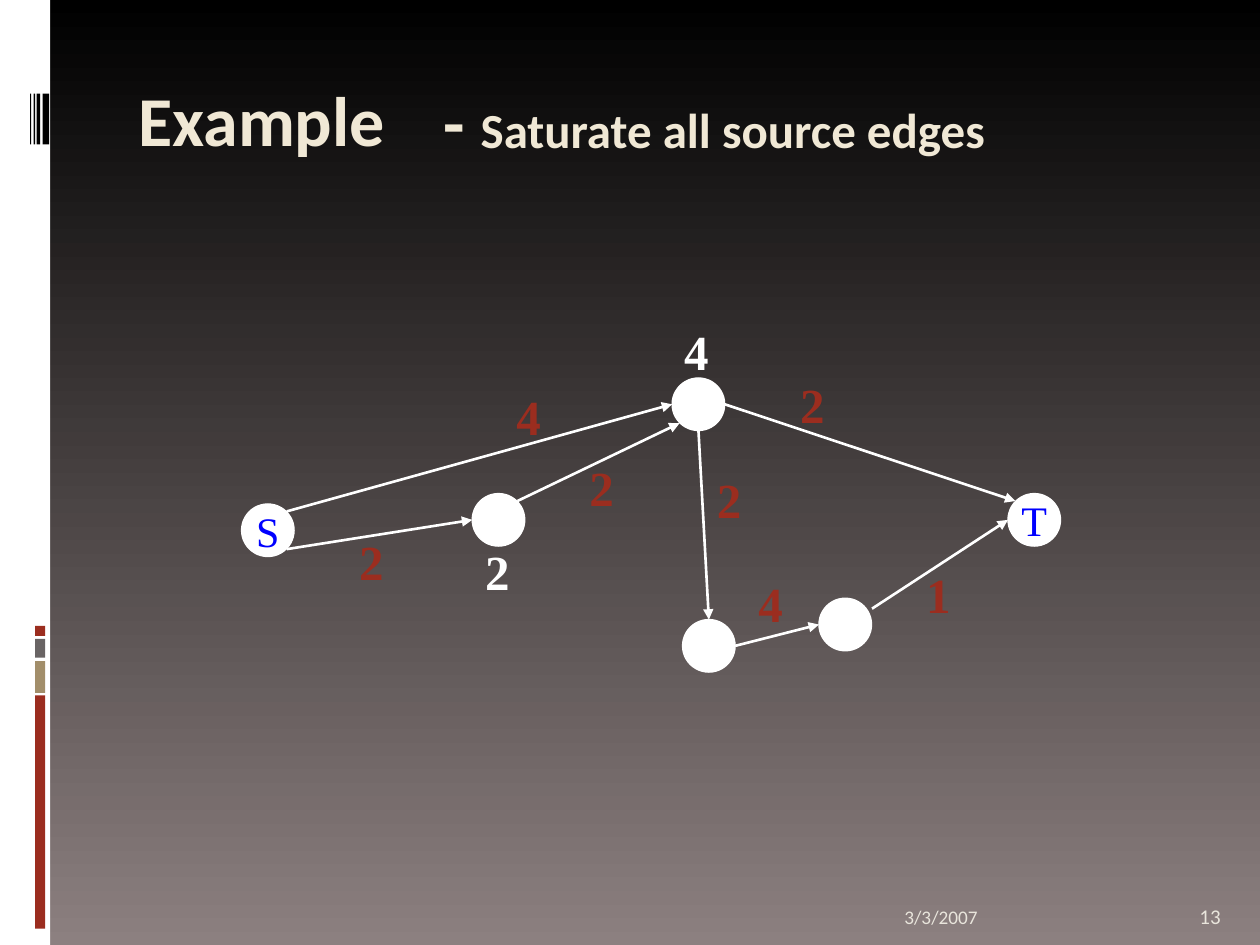
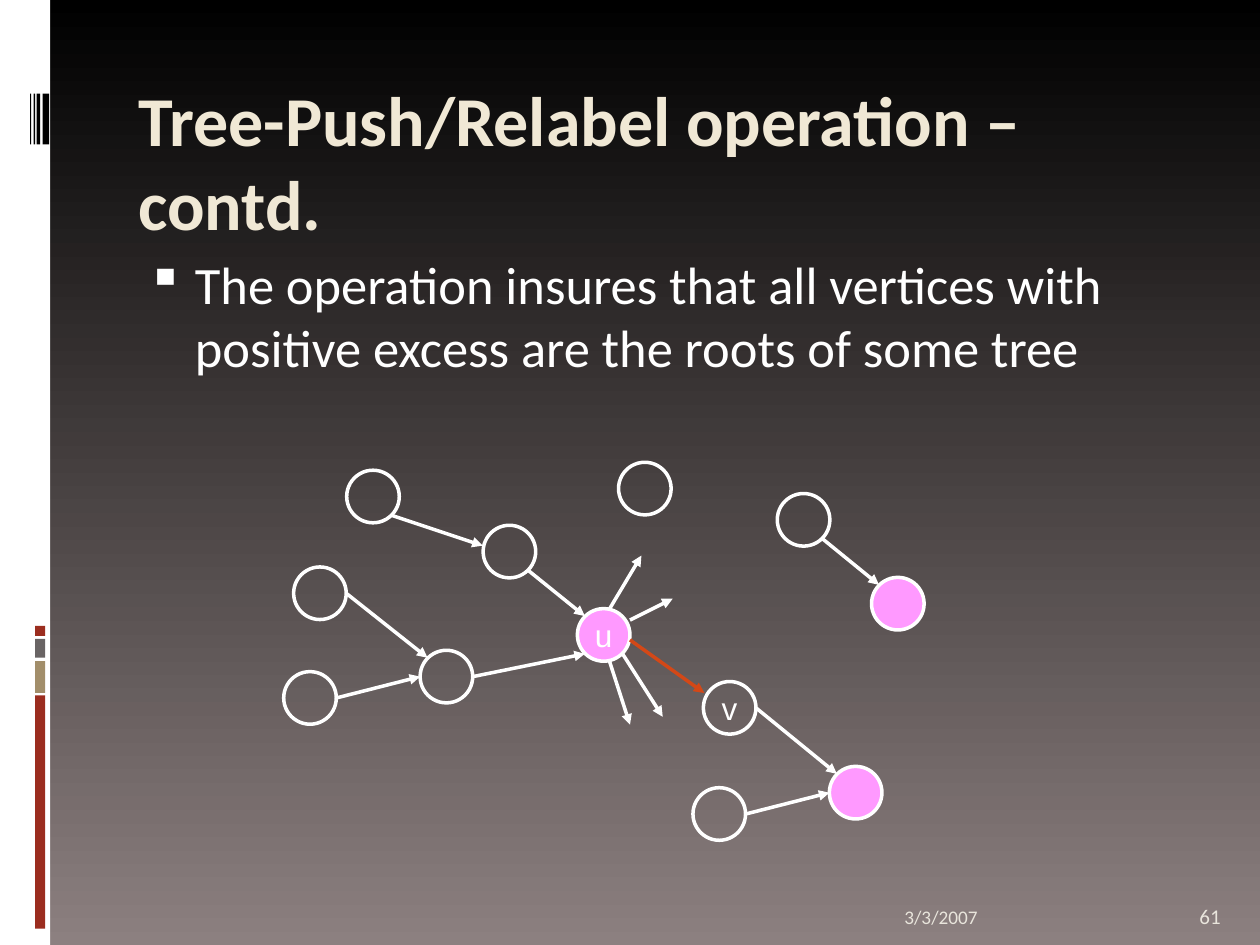
from lxml import etree
from pptx import Presentation
from pptx import util as u
from pptx.dml.color import RGBColor
from pptx.enum import shapes, text
from pptx.oxml import ns

WHITE = RGBColor(0xFF, 0xFF, 0xFF)
BLACK = RGBColor(0x00, 0x00, 0x00)
TAUPE = RGBColor(0x8C, 0x80, 0x80)
RED = RGBColor(0x9B, 0x2D, 0x1F)
SAND = RGBColor(0xA2, 0x8E, 0x6A)
GREY = RGBColor(0x69, 0x64, 0x64)
CREAM = RGBColor(0xF0, 0xE8, 0xD5)
PALE = RGBColor(0xE9, 0xE5, 0xDC)
BLUE = RGBColor(0x00, 0x00, 0xFF)
PINK = RGBColor(0xFF, 0x99, 0xFF)
ORANGE = RGBColor(0xD3, 0x48, 0x17)

# Text formats
TITLE = dict(name="Calibri", size=u.Pt(40), bold=True, color=CREAM)
SUBTITLE = TITLE | dict(size=u.Pt(28))
BODY = dict(name="Calibri", size=u.Pt(30), color=WHITE)
DATE = dict(name="Calibri", size=u.Pt(11), color=PALE)
NUMBER = DATE | dict(size=u.Pt(12))
CAPACITY = dict(name="Times New Roman", size=u.Pt(28), bold=True, color=RED)
EXCESS = CAPACITY | dict(color=WHITE)
TERMINAL = dict(name="Times New Roman", size=u.Pt(24), color=BLUE)
VERTEX = dict(name="Arial", size=u.Pt(18), color=WHITE)

# Left band and its marks: colour, left, top, width, height in cm
BANDS = [
    (WHITE, 0, 0, 1.01, 19.05),
    (RED, 0.71, 14.02, 0.2, 4.7),
    (SAND, 0.71, 13.33, 0.2, 0.64),
    (GREY, 0.71, 12.88, 0.2, 0.38),
    (RED, 0.71, 12.62, 0.2, 0.2),
    (BLACK, 0.86, 1.89, 0.13, 1.02),
    (BLACK, 0.74, 1.89, 0.07, 1.02),
    (BLACK, 0.68, 1.89, 0.03, 1.02),
    (BLACK, 0.61, 1.89, 0.02, 1.02),
]

# Points on a node's rim, as offsets from its centre
RADIUS = 0.53
DIAGONAL = 0.38
SITES = {
    "n": (0, -RADIUS), "s": (0, RADIUS), "w": (-RADIUS, 0), "e": (RADIUS, 0),
    "nw": (-DIAGONAL, -DIAGONAL), "ne": (DIAGONAL, -DIAGONAL),
    "sw": (-DIAGONAL, DIAGONAL), "se": (DIAGONAL, DIAGONAL),
}


class Deck:
    """Holds the presentation, the current slide and the graph drawn on it."""

    def __init__(self):
        self.prs = Presentation()
        self.prs.slide_width, self.prs.slide_height = u.Cm(25.4), u.Cm(19.05)

    def slide(self, number, line_width):
        self.s = self.prs.slides.add_slide(self.prs.slide_layouts[6])
        self.line_width = line_width
        self.nodes = {}
        fill = self.s.background.fill
        fill.gradient()
        fill.gradient_angle = 270
        for stop, position, color in zip(fill.gradient_stops, (0, 1), (BLACK, TAUPE)):
            stop.position, stop.color.rgb = position, color
        for color, *box in BANDS:
            self.shape(shapes.MSO_SHAPE.RECTANGLE, box, color)
        bottom = text.MSO_ANCHOR.BOTTOM
        self.text((17.98, 17.83, 5.92, 1.02), [("3/3/2007", DATE)], bottom)
        self.text((23.93, 17.83, 1.27, 1.02), [(number, NUMBER)], bottom)

    def shape(self, kind, box, fill=None, line=None, width=0.75):
        sp = self.s.shapes.add_shape(kind, *map(u.Cm, box))
        sp.shadow.inherit = False
        if fill is None:
            sp.fill.background()
        else:
            sp.fill.solid()
            sp.fill.fore_color.rgb = fill
        if line is None:
            sp.line.fill.background()
        else:
            sp.line.color.rgb, sp.line.width = line, u.Pt(width)
        return sp

    def add_runs(self, p, runs):
        for words, style in runs:
            r = p.add_run()
            r.text = words
            for key, value in style.items():
                if key == "color":
                    r.font.color.rgb = value
                else:
                    setattr(r.font, key, value)

    def text(self, box, runs, anchor=text.MSO_ANCHOR.TOP):
        tf = self.s.shapes.add_textbox(*map(u.Cm, box)).text_frame
        tf.word_wrap, tf.vertical_anchor = True, anchor
        self.add_runs(tf.paragraphs[0], runs)
        return tf.paragraphs[0]

    def bullet(self, box, words):
        pPr = self.text(box, [(words, BODY)])._p.get_or_add_pPr()
        pPr.set("marL", str(u.Cm(1.14)))
        pPr.set("indent", str(u.Cm(-0.97)))
        etree.SubElement(pPr, ns.qn("a:buSzPct"), val="95000")
        etree.SubElement(pPr, ns.qn("a:buChar"), char="▪")

    def label(self, x, y, words, style=CAPACITY):
        self.text((x, y, 1.06, 1.45), [(words, style)])

    def node(self, name, x, y, fill=None, width=2, words="", style=VERTEX):
        self.nodes[name] = x, y
        box = x - RADIUS, y - RADIUS, 2 * RADIUS, 2 * RADIUS
        sp = self.shape(shapes.MSO_SHAPE.OVAL, box, fill, WHITE, width)
        if words:
            tf = sp.text_frame
            tf.word_wrap, tf.vertical_anchor = False, text.MSO_ANCHOR.MIDDLE
            p = tf.paragraphs[0]
            p.alignment = text.PP_ALIGN.CENTER
            self.add_runs(p, [(words, style)])

    def point(self, end):
        """Turn "node site" into a place; plain coordinates pass through."""
        if not isinstance(end, str):
            return end
        name, site = end.split()
        return [a + b for a, b in zip(self.nodes[name], SITES[site])]

    def arrow(self, start, end, color=WHITE):
        ends = map(u.Cm, (*self.point(start), *self.point(end)))
        c = self.s.shapes.add_connector(shapes.MSO_CONNECTOR.STRAIGHT, *ends)
        c.line.color.rgb, c.line.width = color, u.Pt(self.line_width)
        spPr = c._element.spPr
        etree.SubElement(spPr.find(ns.qn("a:ln")), ns.qn("a:tailEnd"), type="triangle")
        etree.SubElement(spPr, ns.qn("a:effectLst"))


def saturate_slide(d):
    d.slide("13", 1.5)
    d.text((2.54, 1.42, 6.99, 2.54), [("Example", TITLE)])
    d.text((8.69, 1.45, 15.24, 2.54),
           [("- ", TITLE), ("Saturate all source edges", SUBTITLE)])

    # Flow network
    for name, x, y, words in [
        ("S", 5.4, 10.69, "S"), ("T", 20.85, 10.48, "T"),
        ("left", 10.05, 10.48, ""), ("top", 14.08, 8.15, ""),
        ("bottom", 14.29, 13.02, ""), ("right", 17.04, 12.59, ""),
    ]:
        d.node(name, x, y, WHITE, 0.75, words, TERMINAL)
    for start, end in [
        ("S ne", "top w"), ("S se", "left w"), ("left ne", "top sw"),
        ("top s", "bottom n"), ("top e", "T nw"), ("bottom e", "right w"),
        ((17.58, 12.27), "T w"),
    ]:
        d.arrow(start, end)

    # Edge capacities and vertex excesses
    for x, y, words in [
        (10.16, 7.67, "4"), (18.42, 11.25, "1"), (15.88, 7.42, "2"),
        (6.99, 10.59, "2"), (15.04, 11.43, "4"), (11.63, 9.09, "2"),
        (14.2, 9.35, "2"),
    ]:
        d.label(x, y, words)
    d.label(9.53, 10.8, "2", EXCESS)
    d.label(13.54, 6.35, "4", EXCESS)


def tree_push_slide(d):
    d.slide("61", 2)
    d.text((2.54, 1.42, 21.59, 2.54),
           [("Tree-Push/Relabel operation – contd.", TITLE)])
    d.bullet((2.54, 4.95, 21.59, 3.3),
             "The operation insures that all vertices with positive excess "
             "are the roots of some tree")

    # Trees; roots are pink
    for name, x, y in [
        ("a", 7.52, 10.01), ("b", 10.27, 11.12), ("c", 6.45, 11.96),
        ("d", 6.25, 14.07), ("e", 9, 13.64), ("lone", 13, 9.85),
        ("f", 16.2, 10.48), ("g", 14.5, 16.41),
    ]:
        d.node(name, x, y)
    d.node("v", 14.71, 14.27, words="v")
    d.node("u", 12.17, 12.8, PINK, words="u")
    d.node("root1", 18.1, 12.17, PINK)
    d.node("root2", 17.25, 15.98, PINK)
    for start, end in [
        ("a se", (9.73, 11)), ("b se", "u nw"), ("c e", "e nw"),
        ("d e", "e w"), ("e e", "u sw"), ("f se", "root1 nw"),
        ("g e", "root2 w"), ("v e", "root2 nw"),
        # Other edges leaving u
        ((12.29, 13.34), (12.7, 14.61)), ("u se", (13.36, 14.45)),
        ((12.7, 12.5), (13.56, 12.07)), ((12.29, 12.27), (12.93, 11.2)),
    ]:
        d.arrow(start, end)
    d.arrow((12.7, 12.9), (14.2, 13.97), ORANGE)


def main():
    d = Deck()
    saturate_slide(d)
    tree_push_slide(d)
    d.prs.save("out.pptx")


if __name__ == "__main__":
    main()
